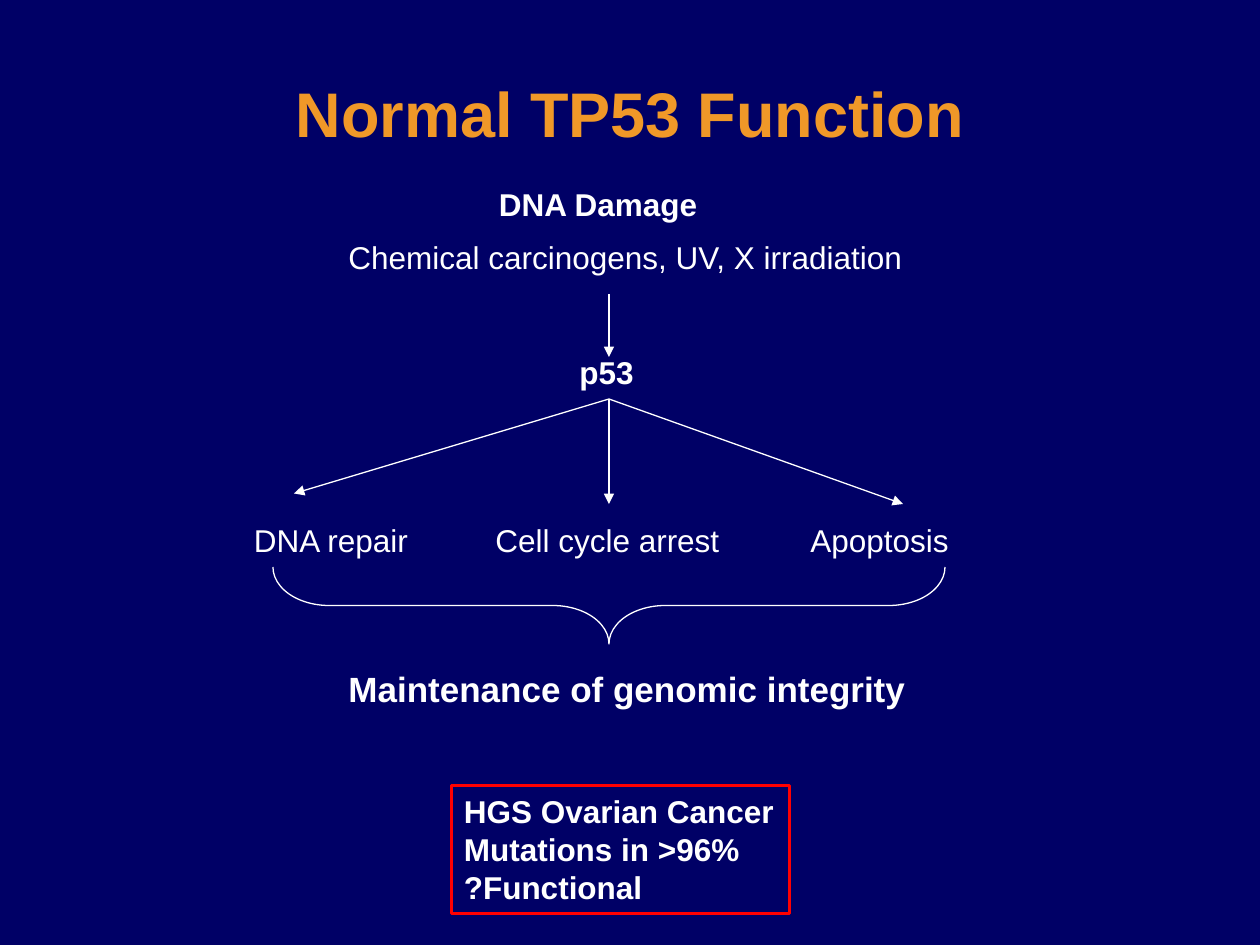
from lxml.etree import SubElement as Sub
from pptx import Presentation
from pptx.dml.color import RGBColor
from pptx.enum.shapes import MSO_CONNECTOR as LINK, MSO_SHAPE as SHAPE
from pptx.enum.text import MSO_ANCHOR as ANCHOR, MSO_AUTO_SIZE as FIT, PP_ALIGN as ALIGN
from pptx.oxml.ns import qn
from pptx.util import Pt

NAVY = RGBColor(0x00, 0x00, 0x66)
GOLD = RGBColor(0xF0, 0x98, 0x28)
WHITE = RGBColor(0xFF, 0xFF, 0xFF)
RED = RGBColor(0xFF, 0x00, 0x00)

# Content: lengths in points
TITLE = "Normal TP53 Function"
CAUSE = [("DNA Damage", dict(bold=True, indent=86)),
         ("Chemical carcinogens, UV, X irradiation", dict(before=9))]
HUB = [("p53", dict(bold=True, indent=30))]
EFFECTS = [("DNA repair", 138, 108), ("Cell cycle arrest", 276, 150),
           ("Apoptosis", 456, 180)]
RESULT = [("Maintenance of genomic integrity", dict(bold=True, size=20))]
NOTE = ["HGS Ovarian Cancer", "Mutations in >96%", "?Functional"]
MID = 348  # axis of the diagram
ENDS = [(168, 282), (MID, 288), (516, 288)]

prs = Presentation()
prs.slide_width, prs.slide_height = Pt(720), Pt(540)
slide = prs.slides.add_slide(prs.slide_layouts[5])
slide.background.fill.solid()
slide.background.fill.fore_color.rgb = NAVY
shapes = slide.shapes


def write(para, text, size=18, bold=False, color=WHITE, align=ALIGN.LEFT,
          before=0, indent=0):
    """Fill one paragraph with formatted text."""
    para.alignment = align
    para.space_before = Pt(before)
    if indent:
        para._p.get_or_add_pPr().set("marL", str(Pt(indent)))
    run = para.add_run()
    run.text = text
    font = run.font
    font.name, font.size, font.bold = "Arial", Pt(size), bold
    font.color.rgb = color
    return run


def fill(frame, lines):
    for i, (text, form) in enumerate(lines):
        para = frame.add_paragraph() if i else frame.paragraphs[0]
        write(para, text, **form)


def label(lines, x, y, w, h):
    frame = shapes.add_textbox(Pt(x), Pt(y), Pt(w), Pt(h)).text_frame
    frame.word_wrap = True
    frame.auto_size = FIT.SHAPE_TO_FIT_TEXT
    fill(frame, lines)


def stroke(item, color, width):
    item.line.color.rgb = color
    item.line.width = Pt(width)


def arrow(start, end):
    link = shapes.add_connector(LINK.STRAIGHT, *map(Pt, start + end))
    stroke(link, WHITE, 0.75)
    Sub(link.line._get_or_add_ln(), qn("a:tailEnd"), type="triangle")
    Sub(link._element.spPr, qn("a:effectLst"))


def outline(kind, x, y, w, h, color, width):
    shape = shapes.add_shape(kind, Pt(x), Pt(y), Pt(w), Pt(h))
    shape.shadow.inherit = False
    shape.fill.background()
    stroke(shape, color, width)
    return shape


# Title with a text shadow
title = shapes.title
title.left, title.top, title.width, title.height = map(Pt, (27, 22, 666, 90))
title.text_frame.vertical_anchor = ANCHOR.MIDDLE
head = title.text_frame.paragraphs[0]
run = write(head, TITLE, size=36, bold=True, color=GOLD, align=ALIGN.CENTER)
head.line_spacing = 0.9
props = run.font._element
glow = Sub(props, qn("a:effectLst"))
cast = Sub(glow, qn("a:outerShdw"), dist=str(Pt(2.8)), dir="2700000")
Sub(cast, qn("a:srgbClr"), val="000000")
props.find(qn("a:solidFill")).addnext(glow)

# Labels
label(CAUSE, 192, 102, 342, 62)
label(HUB, 294, 198, 114, 29)
for text, x, w in EFFECTS:
    label([(text, {})], x, 294, w, 29)
label(RESULT, 192, 378, 336, 32)

# Arrows from the damage to p53, then to each effect
arrow((MID, 168), (MID, 204))
for end in ENDS:
    arrow((MID, 228), end)

# Brace under the effects, turned to point down
deep, wide = 44, 384
brace = outline(SHAPE.LEFT_BRACE, MID - deep / 2, 346 - wide / 2, deep, wide,
                WHITE, 0.75)
brace.rotation = 270
brace.adjustments[0] = 0.73

# Red note
note = outline(SHAPE.RECTANGLE, 258, 449, 193, 73, RED, 1.5).text_frame
note.word_wrap = False
note.auto_size = FIT.SHAPE_TO_FIT_TEXT
note.vertical_anchor = ANCHOR.TOP
fill(note, [(text, dict(bold=True)) for text in NOTE])

prs.save("out.pptx")
